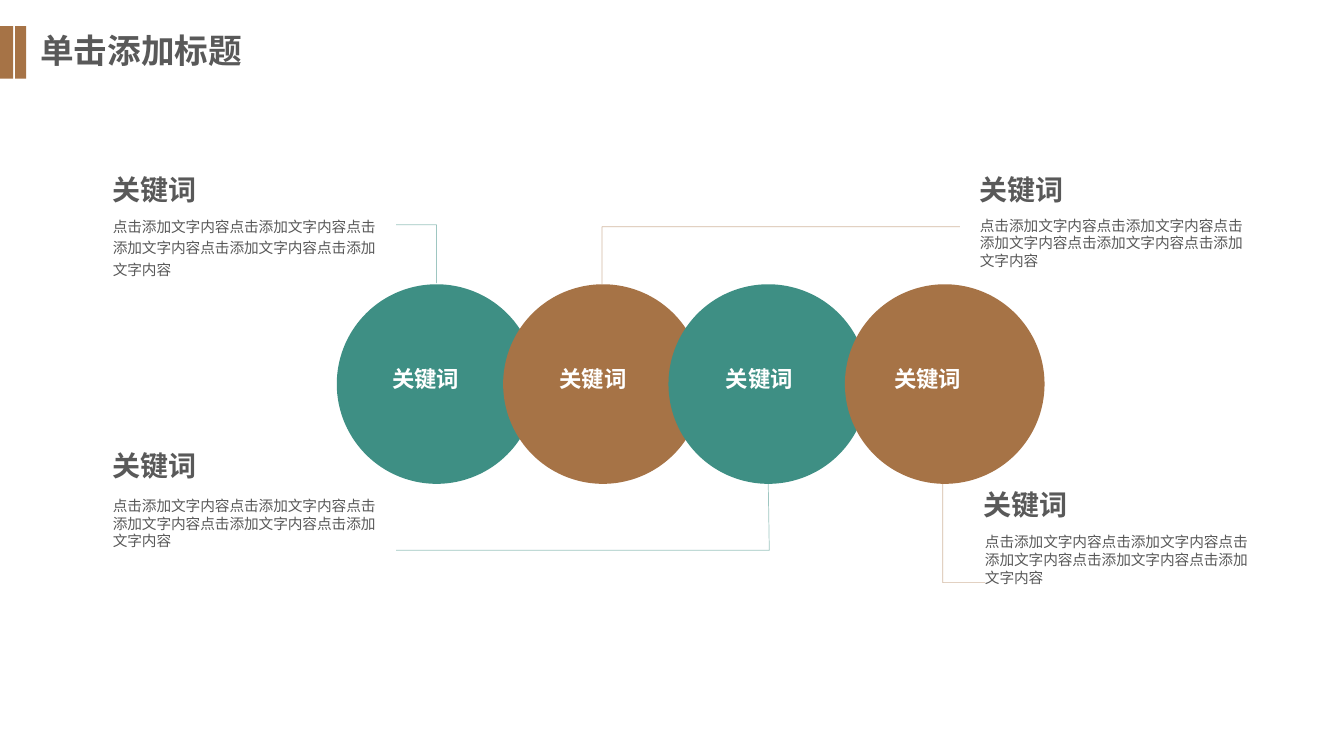
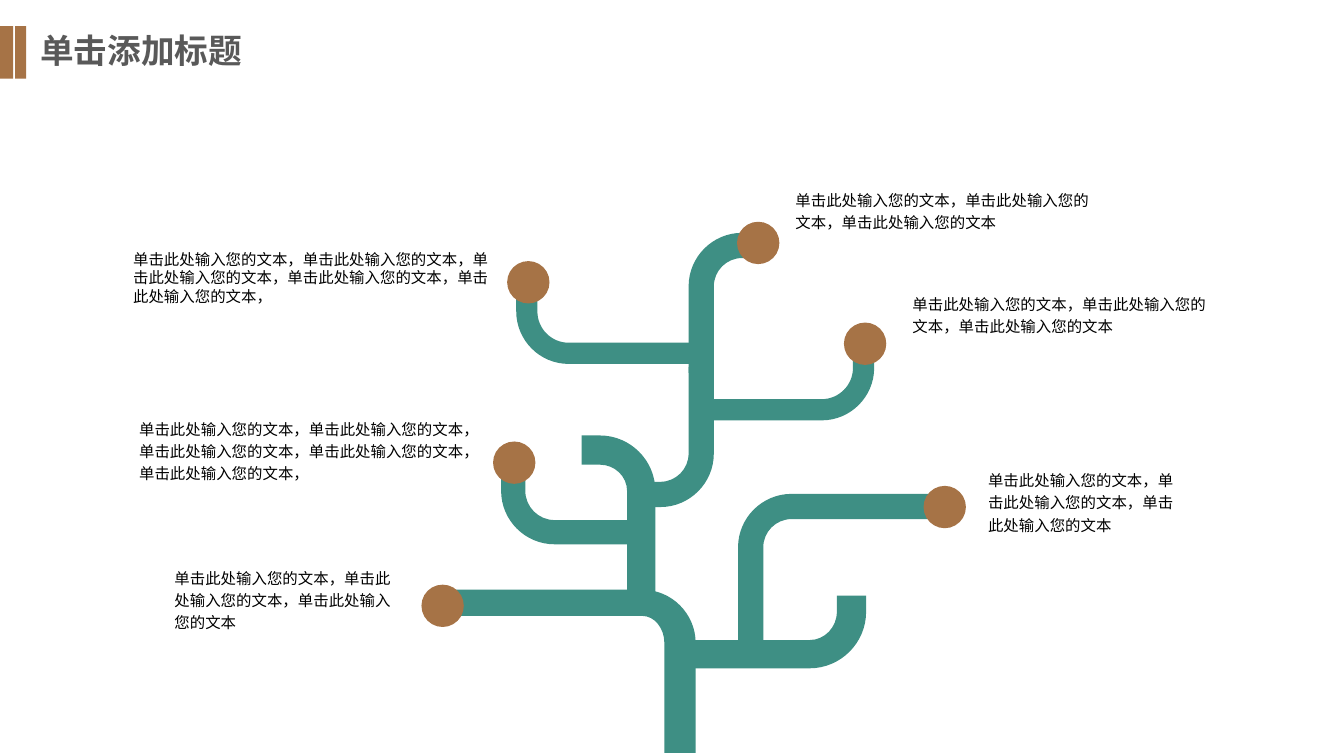
from dataclasses import dataclass
from itertools import pairwise

from pptx import Presentation
from pptx.dml.color import RGBColor
from pptx.enum.shapes import MSO_CONNECTOR, MSO_SHAPE
from pptx.enum.text import MSO_ANCHOR, MSO_AUTO_SIZE, PP_ALIGN
from pptx.oxml.ns import qn
from pptx.util import Inches, Pt
from lxml import etree

STRAIGHT = MSO_CONNECTOR.STRAIGHT
OVAL, RECT = MSO_SHAPE.OVAL, MSO_SHAPE.RECTANGLE
TOP = MSO_ANCHOR.TOP
LEFT = PP_ALIGN.LEFT
NO_AUTOFIT = MSO_AUTO_SIZE.NONE
TITLE_ONLY = 5
ARC_PULL = 0.55  # control point distance of a quarter circle


@dataclass(frozen=True)
class Theme:
    green: str = "3E8F84"
    brown: str = "A67346"
    grey: str = "595959"
    white: str = "FFFFFF"
    black: str = "000000"
    font: str = "Noto Sans CJK SC"
    latin_font: str = "Calibri"
    title: float = 24
    heading: float = 20
    label: float = 16
    note: float = 11
    body: float = 10.5
    leader: float = 0.5


THEME = Theme()

TITLE = "单击添加标题"
KEYWORD = "关键词"
KEYWORD_TEXT = "点击添加文字内容" * 5
NOTE = "单击此处输入您的文本"
SHORT_NOTE = "，".join([NOTE] * 3)
LONG_NOTE = (NOTE + "，") * 5


@dataclass(frozen=True)
class Branch:
    """A band with one rounded corner: an arm to the side and a stem up or down."""
    corner: tuple
    arm_end: float
    stem_end: float
    stem: float
    arm: float
    radius: float = 0.53


BRANCHES = [
    Branch((6.9, 5.85), 4.36, 7.47, 0.31, 0.26),
    Branch((8.59, 6.63), 6.74, 5.91, 0.29, 0.28, 0.56),
    Branch((8.67, 4.17), 6.98, 3.48, 0.21, 0.21, 0.52),
    Branch((6.5, 4.32), 5.77, 6.01, 0.28, 0.29, 0.55),
    Branch((7.32, 4.9), 9.37, 6.54, 0.25, 0.25),
    Branch((5.12, 3.61), 6.9, 2.92, 0.21, 0.21, 0.52),
    Branch((4.97, 5.4), 6.35, 4.7, 0.24, 0.24),
    Branch((7.08, 5.03), 6.38, 3.64, 0.25, 0.25),
    Branch((6.83, 2.31), 7.55, 3.7, 0.25, 0.25),
]


# Text
def write_text(frame, text, size, color=THEME.grey, bold=False, font=THEME.font,
               spacing=1.0, inset=(0.1, 0.05)):
    frame.word_wrap = True
    frame.auto_size = NO_AUTOFIT
    frame.vertical_anchor = TOP
    frame.margin_left = frame.margin_right = Inches(inset[0])
    frame.margin_top = frame.margin_bottom = Inches(inset[1])
    paragraph = frame.paragraphs[0]
    paragraph.alignment = LEFT
    paragraph.line_spacing = spacing
    run = paragraph.add_run()
    run.text = text
    run.font.size = Pt(size)
    run.font.bold = bold
    run.font.name = font
    run.font.color.rgb = RGBColor.from_string(color)
    east_asian = etree.SubElement(run._r.get_or_add_rPr(), qn("a:ea"))
    east_asian.set("typeface", THEME.font)


def add_text(slide, box, text, **text_format):
    text_box = slide.shapes.add_textbox(*map(Inches, box))
    write_text(text_box.text_frame, text, **text_format)


# Shapes
def paint(shape, color):
    shape.shadow.inherit = False
    shape.fill.solid()
    shape.fill.fore_color.rgb = RGBColor.from_string(color)
    shape.line.fill.background()


def add_block(parent, preset, box, color):
    block = parent.shapes.add_shape(preset, *map(Inches, box))
    paint(block, color)
    return block


def add_leader(slide, points, color):
    """Thin half-transparent line through the given points."""
    for start, end in pairwise(points):
        line = slide.shapes.add_connector(STRAIGHT, *map(Inches, (*start, *end)))
        line.line.width = Pt(THEME.leader)
        line.line.color.rgb = RGBColor.from_string(color)
        tint = line._element.spPr.find(".//" + qn("a:srgbClr"))
        etree.SubElement(tint, qn("a:alpha")).set("val", "50000")
        etree.SubElement(line._element.spPr, qn("a:effectLst"))


def round_corner(start_segment, end_segment, vertical_first):
    """Turn the straight end segment into a quarter arc."""
    start, end = [tuple(int(segment[0].get(axis)) for axis in "xy")
                  for segment in (start_segment, end_segment)]
    corner = (start[0], end[1]) if vertical_first else (end[0], start[1])
    end_segment.tag = qn("a:cubicBezTo")
    for position, anchor in enumerate((start, end)):
        control = etree.Element(qn("a:pt"))
        for axis, value, target in zip("xy", anchor, corner):
            control.set(axis, str(round(value + ARC_PULL * (target - value))))
        end_segment.insert(position, control)


def add_branch(slide, branch):
    x, y = branch.corner
    to_arm = 1 if branch.arm_end > x else -1
    to_stem = 1 if branch.stem_end > y else -1
    bend_x = x + to_arm * branch.radius
    bend_y = y + to_stem * branch.radius
    inner_x = x + to_arm * branch.stem
    inner_y = y + to_stem * branch.arm

    outline = [(x, branch.stem_end), (x, bend_y), (bend_x, y),
               (branch.arm_end, y), (branch.arm_end, inner_y),
               (bend_x, inner_y), (inner_x, bend_y), (inner_x, branch.stem_end)]
    outline = [(Inches(px), Inches(py)) for px, py in outline]
    builder = slide.shapes.build_freeform(*outline[0])
    builder.add_line_segments(outline[1:], close=True)
    band = builder.convert_to_shape()
    paint(band, THEME.green)

    segments = list(band._element.iter(qn("a:lnTo")))
    round_corner(segments[0], segments[1], vertical_first=True)
    round_corner(segments[4], segments[5], vertical_first=False)


def add_keyword_circle(slide, circle_left, label_left, color):
    group = slide.shapes.add_group_shape()
    add_block(group, OVAL, (circle_left, 2.82, 1.98, 1.98), color)
    label = add_block(group, RECT, (label_left, 3.57, 1.28, 0.59), color)
    write_text(label.text_frame, KEYWORD, size=THEME.label, color=THEME.white, bold=True)


# Shared slide frame
def add_titled_slide(prs):
    slide = prs.slides.add_slide(prs.slide_layouts[TITLE_ONLY])
    title = slide.shapes.title
    title.left, title.top, title.width, title.height = map(Inches, (0.3, 0.25, 3.3, 0.53))
    write_text(title.text_frame, TITLE, size=THEME.title, bold=True)
    for left, width in ((0, 0.13), (0.15, 0.11)):
        add_block(slide, RECT, (left, 0.26, width, 0.52), THEME.brown)
    return slide


# Chain of keyword circles
def build_keyword_chain(prs):
    slide = add_titled_slide(prs)
    leaders = [
        ([(4.33, 2.81), (4.33, 2.23), (3.93, 2.23)], THEME.green),
        ([(5.97, 2.82), (5.97, 2.25), (9.52, 2.25)], THEME.brown),
        ([(7.62, 4.8), (7.63, 5.46), (3.93, 5.46)], THEME.green),
        ([(9.35, 4.8), (9.35, 5.78), (9.77, 5.78)], THEME.brown),
    ]
    for points, color in leaders:
        add_leader(slide, points, color)

    circles = [(3.34, 3.79, THEME.green), (4.99, 5.45, THEME.brown),
               (6.63, 7.1, THEME.green), (8.38, 8.77, THEME.brown)]
    for circle_left, label_left, color in circles:
        add_keyword_circle(slide, circle_left, label_left, color)

    # heading corner, text corner, text line spacing
    captions = [((1.02, 1.53), (1.02, 2.08), 1.2), ((9.62, 1.53), (9.62, 2.1), 1.0),
                ((9.66, 4.65), (9.67, 5.24), 1.0), ((1.02, 4.27), (1.02, 4.88), 1.0)]
    for heading_corner, text_corner, spacing in captions:
        add_text(slide, (*heading_corner, 2.91, 0.41), KEYWORD,
                 size=THEME.heading, bold=True, spacing=1.4)
        add_text(slide, (*text_corner, 2.91, 1.32), KEYWORD_TEXT,
                 size=THEME.body, spacing=spacing)


# Tree with a note at each tip
def build_tree(prs):
    slide = add_titled_slide(prs)
    for branch in BRANCHES:
        add_branch(slide, branch)

    tips = [(4.18, 5.8), (4.89, 4.38), (9.16, 4.82),
            (8.37, 3.2), (5.03, 2.59), (7.31, 2.2)]
    for left, top in tips:
        add_block(slide, OVAL, (left, top, 0.42, 0.42), THEME.brown)

    notes = [
        ((1.65, 5.57, 2.45, 0.73), SHORT_NOTE, THEME.font, 1.2),
        ((1.3, 4.09, 3.53, 0.73), LONG_NOTE, THEME.font, 1.2),
        ((9.72, 4.6, 2.13, 0.73), SHORT_NOTE, THEME.font, 1.2),
        ((8.97, 2.85, 3.13, 0.51), SHORT_NOTE, THEME.font, 1.2),
        ((1.24, 2.44, 3.71, 0.62), LONG_NOTE, THEME.latin_font, 1.0),
        ((7.81, 1.82, 3.13, 0.51), SHORT_NOTE, THEME.font, 1.2),
    ]
    for box, text, font, spacing in notes:
        add_text(slide, box, text, size=THEME.note, color=THEME.black,
                 font=font, spacing=spacing, inset=(0.08, 0.04))


def main():
    prs = Presentation()
    prs.slide_width, prs.slide_height = Inches(13.33), Inches(7.5)
    build_keyword_chain(prs)
    build_tree(prs)
    prs.save("out.pptx")


if __name__ == "__main__":
    main()
